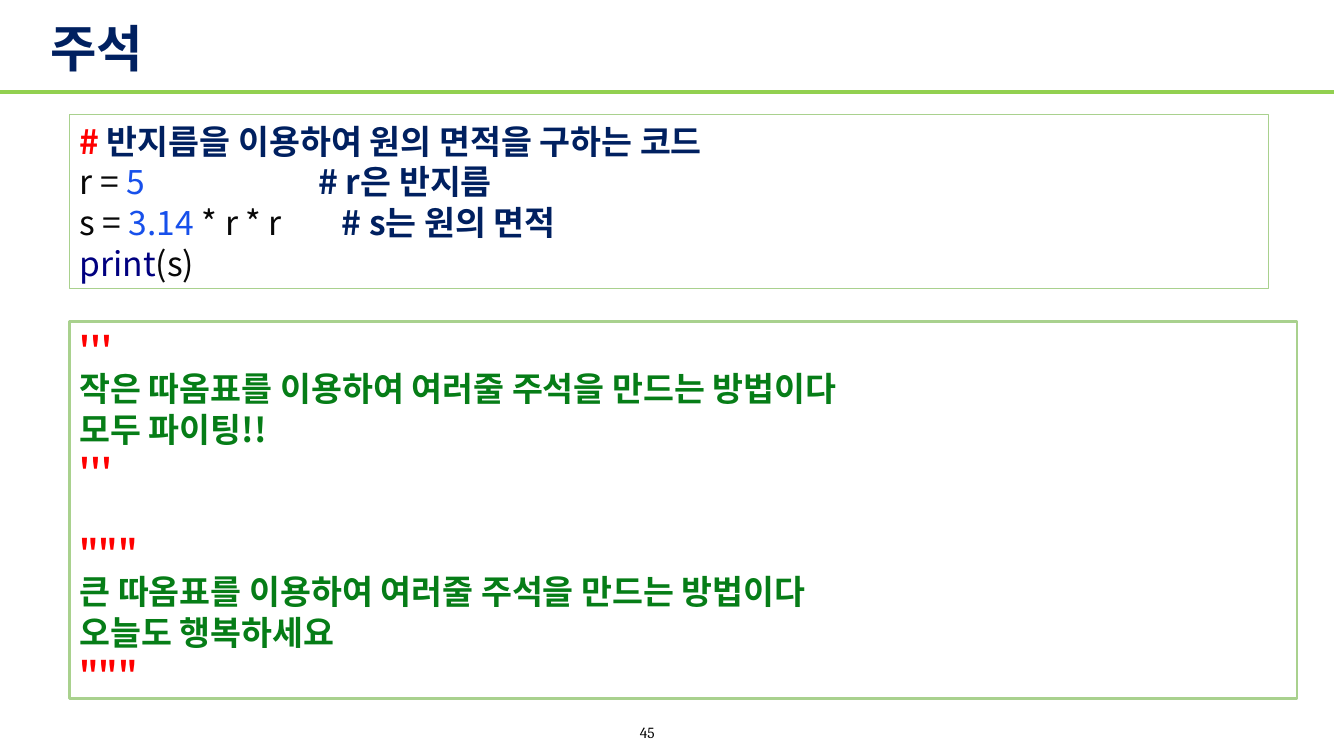
from dataclasses import dataclass

from lxml import etree
from pptx import Presentation
from pptx import util as u
from pptx.dml.color import RGBColor
from pptx.enum import shapes, text
from pptx.oxml.ns import qn


@dataclass(frozen=True)
class Theme:
    navy: str = "002060"
    red: str = "FF0000"
    ink: str = "080808"
    number: str = "1750EB"
    builtin: str = "000080"
    green: str = "067D17"
    black: str = "000000"
    white: str = "FFFFFF"
    rule: str = "92D050"
    border: str = "A9D18E"
    sans: str = "Noto Sans CJK KR"
    serif: str = "Cambria"
    title_size: int = 36
    code_size: int = 24
    code_pitch: int = 29
    page_size: int = 11


THEME = Theme()


def px(length):
    """One px is a hundredth of an inch."""
    return u.Emu(length * 9144)


def rgb(color):
    return RGBColor.from_string(color)


def add_span(para, words, *, size, color, font=THEME.sans, bold=False):
    span = para.add_run()
    span.text = words
    span.font.size = u.Pt(size)
    span.font.bold = bold
    span.font.color.rgb = rgb(color)
    span.font.name = font
    east_asian = etree.SubElement(span.font._element, qn("a:ea"))
    east_asian.set("typeface", font)


def add_tab_stop(para, position):
    stops = etree.SubElement(para._p.get_or_add_pPr(), qn("a:tabLst"))
    etree.SubElement(stops, qn("a:tab"), pos=str(px(position)), algn="l")


def add_label(slide, box, words, *, align=text.PP_ALIGN.LEFT, spacing=1.0, **style):
    frame = slide.shapes.add_textbox(*map(px, box)).text_frame
    frame.word_wrap = True
    frame.vertical_anchor = text.MSO_ANCHOR.MIDDLE
    para = frame.paragraphs[0]
    para.alignment = align
    para.line_spacing = spacing
    add_span(para, words, **style)


def add_header(slide, box):
    left, top, width, height = box
    # Title
    add_label(slide, (left + 40, top + 21, 984, 59), "주석", spacing=0.9,
              size=THEME.title_size, color=THEME.navy, bold=True)
    # Green rule along the bottom edge
    rule = slide.shapes.add_connector(
        shapes.MSO_CONNECTOR.STRAIGHT, px(left), px(top + height),
        px(left + width), px(top + height))
    rule.line.color.rgb = rgb(THEME.rule)
    rule.line.width = u.Pt(3)
    etree.SubElement(rule._element.spPr, qn("a:effectLst"))


def add_code_panel(slide, box, lines, *, border):
    """Each line is (spans, tab stop or None, blank lines before)."""
    panel = slide.shapes.add_shape(shapes.MSO_SHAPE.RECTANGLE, *map(px, box))
    panel.shadow.inherit = False
    panel.fill.solid()
    panel.fill.fore_color.rgb = rgb(THEME.white)
    panel.line.color.rgb = rgb(THEME.border)
    panel.line.width = u.Pt(border)
    frame = panel.text_frame
    frame.word_wrap = True
    frame.vertical_anchor = text.MSO_ANCHOR.MIDDLE
    for index, (spans, tab, gap) in enumerate(lines):
        para = frame.add_paragraph() if index else frame.paragraphs[0]
        para.alignment = text.PP_ALIGN.LEFT
        para.line_spacing = u.Pt(THEME.code_pitch)
        if gap:
            para.space_before = u.Pt(gap * THEME.code_pitch)
        if tab:
            add_tab_stop(para, tab)
        for words, color, bold in spans:
            add_span(para, words, size=THEME.code_size, color=color, bold=bold)


def comment_block(quotes, sentences, gap=0):
    """Lines of a multi-line comment between a pair of quote marks."""
    fence = [(quotes, THEME.red, True)]
    body = [([(words, THEME.green, True)], None, 0) for words in sentences]
    return [(fence, None, gap), *body, (fence, None, 0)]


def add_page_number(slide, box):
    add_label(slide, box, "45", align=text.PP_ALIGN.CENTER, size=THEME.page_size,
              color=THEME.black, font=THEME.serif)


AREA_CODE = [
    ([("#", THEME.red, True),
      (" 반지름을 이용하여 원의 면적을 구하는 코드", THEME.navy, True)], None, 0),
    ([("r = ", THEME.ink, False), ("5\t", THEME.number, False),
      ("# r은 반지름", THEME.navy, True)], 237, 0),
    ([("s = ", THEME.ink, False), ("3.14 ", THEME.number, False),
      ("* r * r\t", THEME.ink, False), ("# s는 원의 면적", THEME.navy, True)], 260, 0),
    ([("print", THEME.builtin, False), ("(s)", THEME.ink, False)], None, 0),
]

MULTILINE_COMMENTS = [
    *comment_block("'''", ["작은 따옴표를 이용하여 여러줄 주석을 만드는 방법이다",
                           "모두 파이팅!!"]),
    *comment_block('"""', ["큰 따옴표를 이용하여 여러줄 주석을 만드는 방법이다",
                           "오늘도 행복하세요"], gap=1),
]


def main():
    deck = Presentation()
    deck.slide_width, deck.slide_height = px(1333), px(750)
    slide = deck.slides.add_slide(deck.slide_layouts[6])
    add_header(slide, (0, 0, 1323, 91))
    add_page_number(slide, (608, 711, 68, 31))
    add_code_panel(slide, (69, 114, 1189, 172), AREA_CODE, border=0.75)
    add_code_panel(slide, (69, 319, 1217, 374), MULTILINE_COMMENTS, border=1.5)
    deck.save("out.pptx")


if __name__ == "__main__":
    main()
